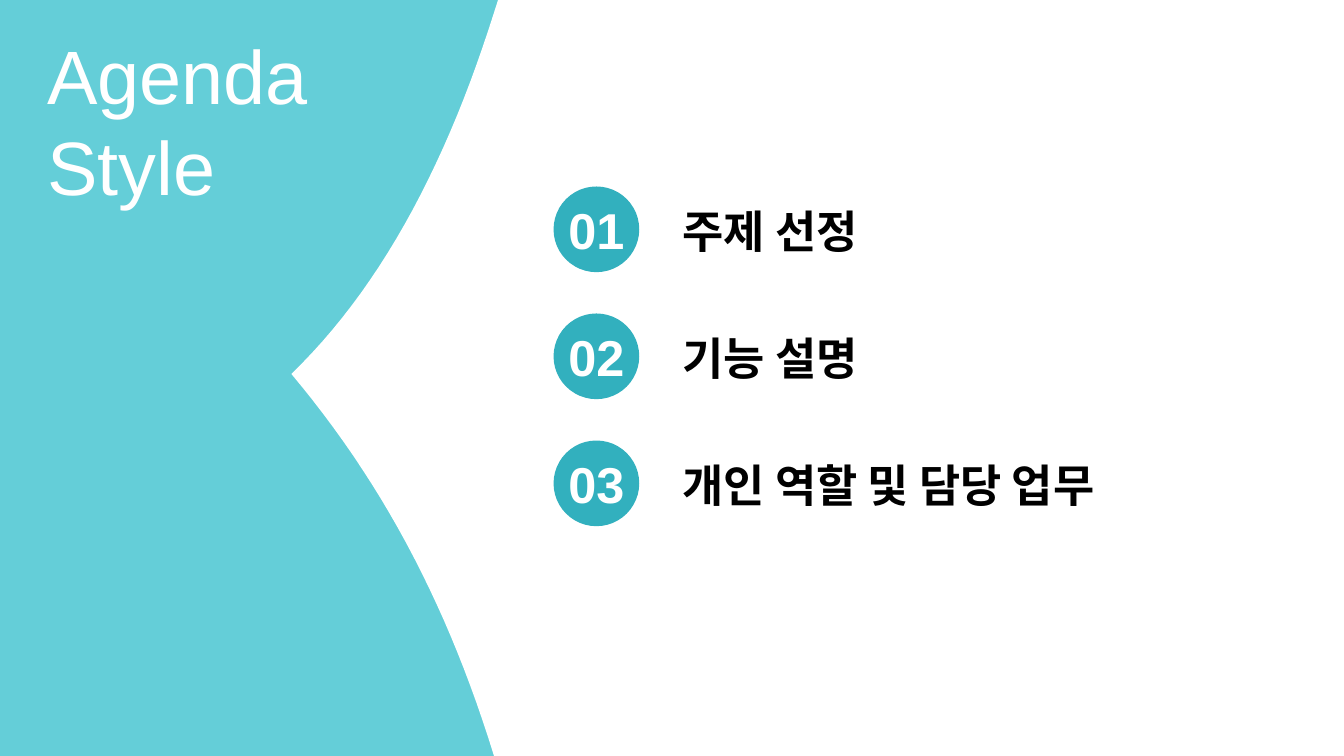
from lxml import etree
from pptx import Presentation
from pptx.dml.color import RGBColor
from pptx.enum import shapes, text
from pptx.oxml import ns
from pptx.util import Inches, Pt

# Content
TITLE = ["Agenda", "Style"]
ITEMS = ["주제 선정", "기능 설명", "개인 역할 및 담당 업무"]

# Colours and formats
AQUA = RGBColor(0x64, 0xCE, 0xD8)
TEAL = RGBColor(0x32, 0xB0, 0xBE)
WHITE = RGBColor(0xFF, 0xFF, 0xFF)
BLACK = RGBColor(0x00, 0x00, 0x00)
LATIN, KOREAN = "Arial", "Noto Sans CJK KR"
HEAD = dict(name=LATIN, size=Pt(54), bold=False)
NUMBER = dict(name=LATIN, size=Pt(36), bold=True)
LABEL = dict(name=LATIN, size=Pt(32), bold=True)
LEFT, CENTER = text.PP_ALIGN.LEFT, text.PP_ALIGN.CENTER
UPPER, MIDDLE = text.MSO_ANCHOR.TOP, text.MSO_ANCHOR.MIDDLE

# Layout in inches: left, top, width, height; row tops count from the dot
WIDE, HIGH = 13.33, 7.5
TITLE_BOX = (0.37, 0.23, 3.82, 1.91)
TOP, STEP = 1.85, 1.26
DOT_BOX = (5.49, 0, 0.85, 0.85)
NUM_BOX = (5.39, 0.08, 1.05, 0.71)
LABEL_BOX = (6.65, 0.12, 5.6, 0.64)

# Panel edge: two cubic curves that meet at the tip
TIP = (2.89, 3.71)
RISE = [(4.84, 7.31), (4.39, 5.92), (3.77, 4.76), TIP]
BEND = [TIP, (3.74, 2.89), (4.38, 1.72), (4.85, 0.28)]
CORNERS = [(4.94, 0), (WIDE, 0), (WIDE, HIGH), (4.9, HIGH)]
PIECES = 24


def curve(points):
    """Return evenly stepped points on a cubic curve, ends included."""
    path = []
    for i in range(PIECES + 1):
        t = i / PIECES
        s = 1 - t
        parts = (s**3, 3 * s * s * t, 3 * s * t * t, t**3)
        path.append(tuple(sum(w * v for w, v in zip(parts, axis))
                          for axis in zip(*points)))
    return path


def place(box, top):
    """Move a box down by top and give its lengths."""
    x, y, w, h = box
    return [Inches(n) for n in (x, top + y, w, h)]


def paint(shape, color):
    """Give a shape a plain fill, with no line or shadow."""
    shape.shadow.inherit = False
    shape.fill.solid()
    shape.fill.fore_color.rgb = color
    shape.line.fill.background()


def write(area, lines, form, color, inset=0.12, align=LEFT, anchor=UPPER):
    """Add a text box with one paragraph per line."""
    frame = slide.shapes.add_textbox(*area).text_frame
    frame.word_wrap = True
    frame.vertical_anchor = anchor
    frame.margin_left = frame.margin_right = Inches(inset)
    for i, line in enumerate(lines):
        para = frame.add_paragraph() if i else frame.paragraphs[0]
        para.alignment = align
        run = para.add_run()
        run.text = line
        for key, value in form.items():
            setattr(run.font, key, value)
        run.font.color.rgb = color
        # Korean letters have their own font
        etree.SubElement(run.font._element, ns.qn("a:ea"), typeface=KOREAN)


prs = Presentation()
prs.slide_width, prs.slide_height = Inches(WIDE), Inches(HIGH)
slide = prs.slides.add_slide(prs.slide_layouts[6])
slide.background.fill.solid()
slide.background.fill.fore_color.rgb = AQUA

# White panel
outline = CORNERS + curve(RISE) + curve(BEND)[1:]
first, *rest = [(Inches(x), Inches(y)) for x, y in outline]
pen = slide.shapes.build_freeform(*first)
pen.add_line_segments(rest, close=True)
paint(pen.convert_to_shape(), WHITE)

# Title
write(place(TITLE_BOX, 0), TITLE, HEAD, WHITE, inset=0.1, anchor=MIDDLE)

# Numbered agenda rows
for row, label in enumerate(ITEMS):
    top = TOP + row * STEP
    dot = slide.shapes.add_shape(shapes.MSO_SHAPE.OVAL, *place(DOT_BOX, top))
    paint(dot, TEAL)
    write(place(NUM_BOX, top), [f"{row + 1:02}"], NUMBER, WHITE, align=CENTER)
    write(place(LABEL_BOX, top), [label], LABEL, BLACK)

prs.save("out.pptx")
